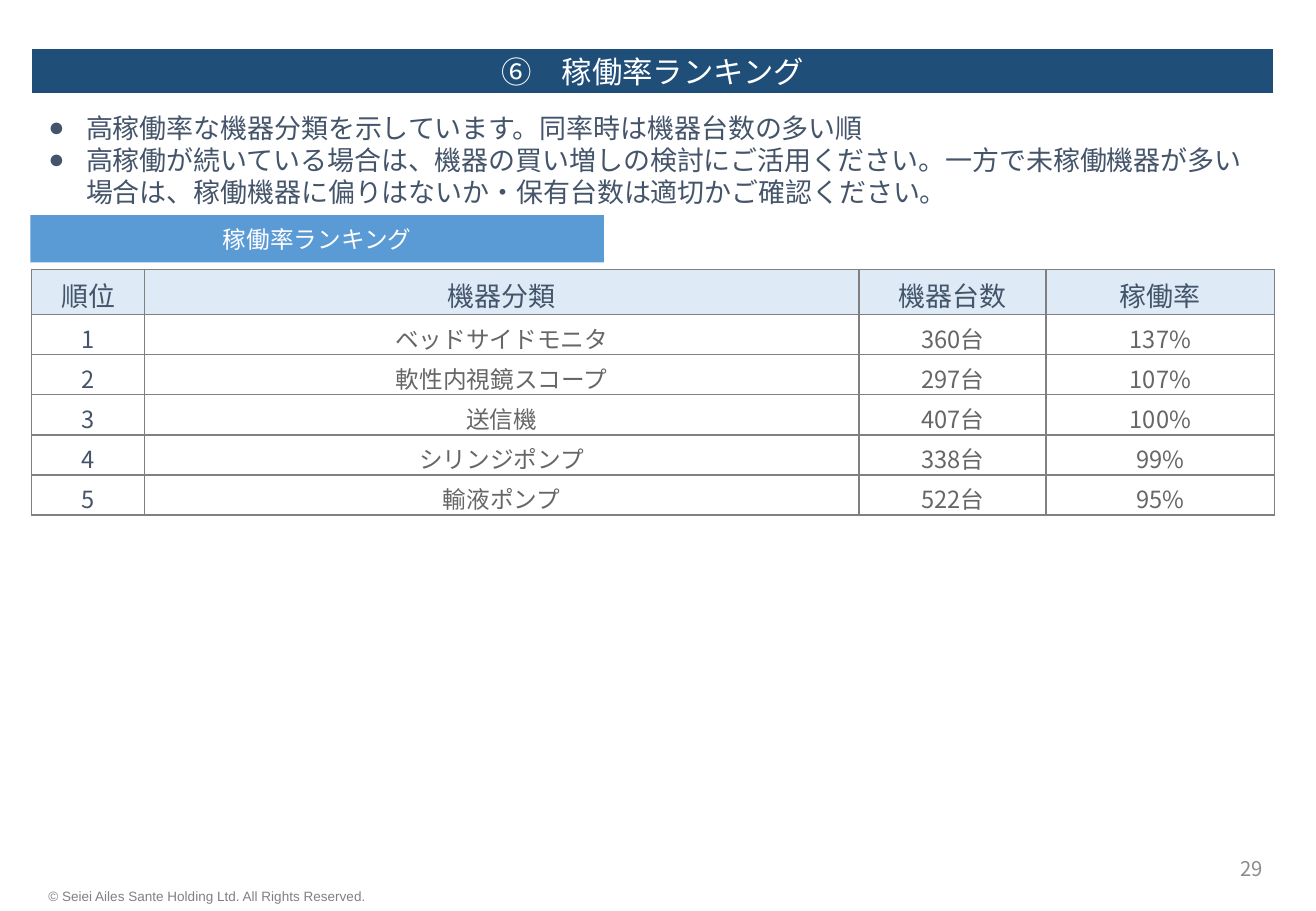
"""Build the utilisation ranking slide."""
from lxml.etree import SubElement
from pptx import Presentation
from pptx.dml.color import RGBColor as RGB
from pptx.enum.shapes import MSO_SHAPE as SHAPE
from pptx.enum.text import MSO_ANCHOR as ANCHOR, PP_ALIGN as ALIGN
from pptx.oxml.ns import qn
from pptx.util import Emu, Pt

PX = 9144
NOTO, ARIAL = "Noto Sans CJK JP", "Arial"
NAVY, BLUE, PALE = RGB(0x1F, 0x4E, 0x79), RGB(0x5B, 0x9B, 0xD5), RGB(0xDE, 0xEB, 0xF7)
SLATE, DARK, GREY = RGB(0x44, 0x54, 0x6A), RGB(0x66, 0x66, 0x66), RGB(0x80, 0x80, 0x80)
LIGHT, WHITE = RGB(0x8C, 0x8C, 0x8C), RGB(0xFF, 0xFF, 0xFF)

NOTES = [
    "高稼働率な機器分類を示しています。同率時は機器台数の多い順",
    "高稼働が続いている場合は、機器の買い増しの検討にご活用ください。一方で未稼働機器が多い"
    "場合は、稼働機器に偏りはないか・保有台数は適切かご確認ください。",
]
COLS = [93, 588, 154, 188]
HEADS = ["順位", "機器分類", "機器台数", "稼働率"]
ITEMS = [
    ("ベッドサイドモニタ", 360, 137),
    ("軟性内視鏡スコープ", 297, 107),
    ("送信機", 407, 100),
    ("シリンジポンプ", 338, 99),
    ("輸液ポンプ", 522, 95),
]


def px(*sizes):
    return [Emu(size * PX) for size in sizes]


def add_run(para, text, size, color, face=NOTO, align=ALIGN.LEFT):
    para.alignment = align
    run = para.add_run()
    run.text = text
    font = run.font
    font.name, font.size, font.bold = face, Pt(size), False
    font.color.rgb = color
    SubElement(font._element, qn("a:ea"), typeface=face)


def add_box(slide, area, anchor=ANCHOR.MIDDLE):
    frame = slide.shapes.add_textbox(*px(*area)).text_frame
    frame.word_wrap = True
    frame.vertical_anchor = anchor
    return frame


def add_bar(slide, area, text, size, fill, edge=None):
    bar = slide.shapes.add_shape(SHAPE.RECTANGLE, *px(*area))
    bar.shadow.inherit = False
    bar.fill.solid()
    bar.fill.fore_color.rgb = fill
    if edge:
        bar.line.color.rgb = edge
        bar.line.width = Pt(1.5)
    else:
        bar.line.fill.background()
    frame = bar.text_frame
    frame.vertical_anchor = ANCHOR.MIDDLE
    add_run(frame.paragraphs[0], text, size, WHITE, align=ALIGN.CENTER)


def add_notes(slide, area, notes):
    frame = add_box(slide, area)
    for rank, note in enumerate(notes):
        para = frame.add_paragraph() if rank else frame.paragraphs[0]
        props = para._p.get_or_add_pPr()
        indent = px(31)[0]
        props.set("marL", str(indent))
        props.set("indent", str(-indent))
        SubElement(props, qn("a:buFont"), typeface=ARIAL)
        SubElement(props, qn("a:buChar"), char="●")
        para.line_spacing = Pt(19)
        add_run(para, note, 16, SLATE)


def add_edges(cell):
    props = cell._tc.get_or_add_tcPr()
    for rank, side in enumerate(("lnL", "lnR", "lnT", "lnB")):
        line = props.makeelement(qn("a:" + side), {"w": str(Pt(1))})
        props.insert(rank, line)
        fill = SubElement(line, qn("a:solidFill"))
        SubElement(fill, qn("a:srgbClr"), val=str(GREY))


def fill_cell(cell, text, size, color, fill=None):
    cell.vertical_anchor = ANCHOR.MIDDLE
    cell.margin_top, cell.margin_bottom = px(5, 0)
    if fill:
        cell.fill.solid()
        cell.fill.fore_color.rgb = fill
    else:
        cell.fill.background()
    add_edges(cell)
    add_run(cell.text_frame.paragraphs[0], text, size, color, align=ALIGN.CENTER)


def add_ranks(slide, left, top):
    count = len(ITEMS) + 1
    area = px(left, top, sum(COLS), 37 + 33 * len(ITEMS))
    table = slide.shapes.add_table(count, len(COLS), *area).table
    table.first_row = table.horz_banding = False
    for col, width in zip(table.columns, px(*COLS)):
        col.width = width
    for row, height in zip(table.rows, px(37, *[33] * len(ITEMS))):
        row.height = height
    for col, head in enumerate(HEADS):
        fill_cell(table.cell(0, col), head, 16, SLATE, PALE)
    for rank, (name, units, rate) in enumerate(ITEMS, 1):
        for col, text in enumerate((str(rank), name, f"{units}台", f"{rate}%")):
            fill_cell(table.cell(rank, col), text, 14, DARK if col else SLATE)


def main():
    deck = Presentation()
    deck.slide_width, deck.slide_height = px(1083, 750)
    slide = deck.slides.add_slide(deck.slide_layouts[6])
    page = add_box(slide, (765, 695, 284, 40))
    add_run(page.paragraphs[0], "29", 12, LIGHT, align=ALIGN.RIGHT)
    legal = add_box(slide, (30, 726, 291, 24), ANCHOR.TOP)
    add_run(legal.paragraphs[0], "© Seiei Ailes Sante Holding Ltd. All Rights Reserved.",
            8, GREY, ARIAL)
    add_bar(slide, (25, 39, 1024, 39), "⑥\u3000稼働率ランキング", 18, NAVY, WHITE)
    add_notes(slide, (30, 80, 1024, 103), NOTES)
    add_bar(slide, (25, 177, 472, 39), "稼働率ランキング", 14, BLUE)
    add_ranks(slide, 26, 222)
    deck.save("out.pptx")


if __name__ == "__main__":
    main()
